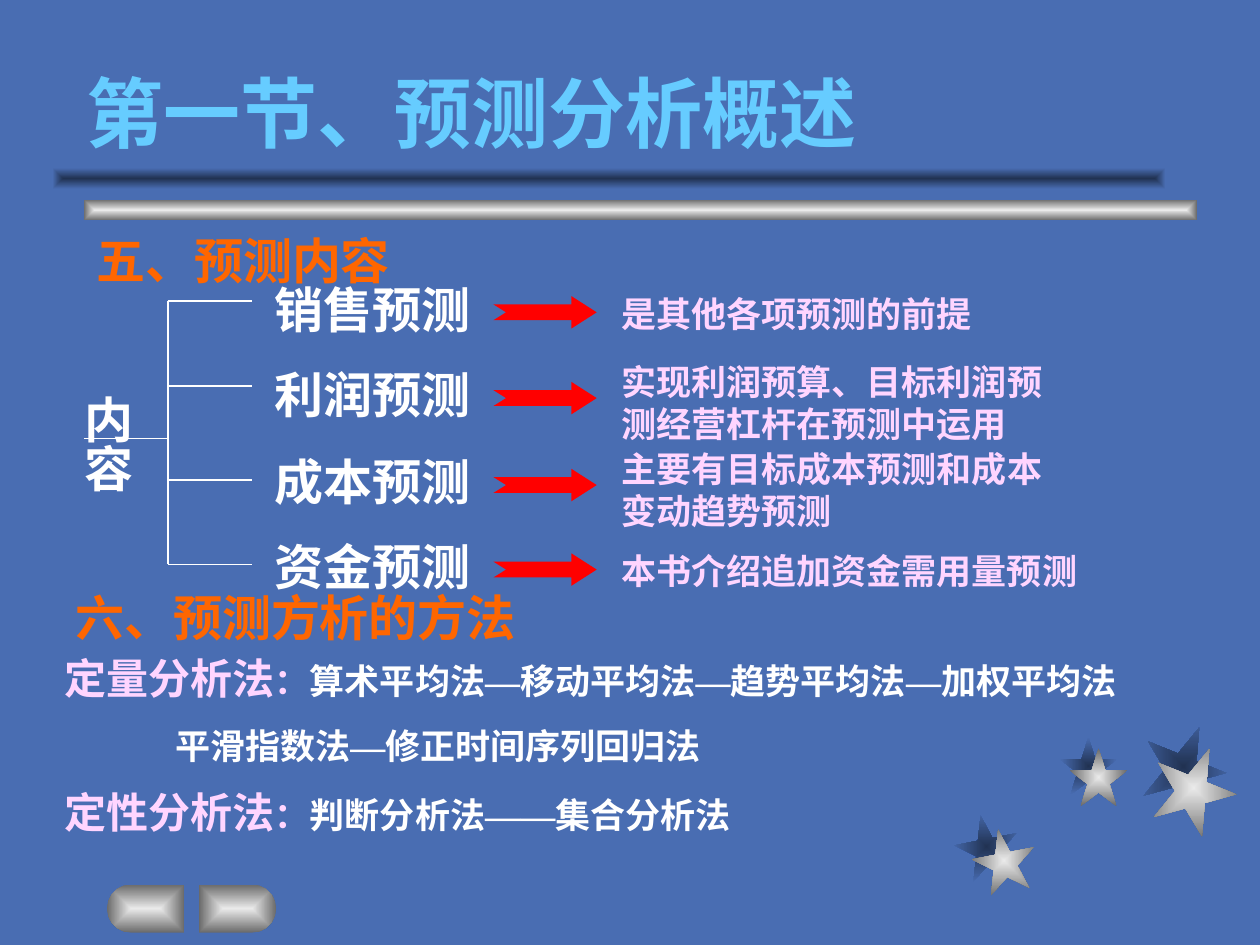
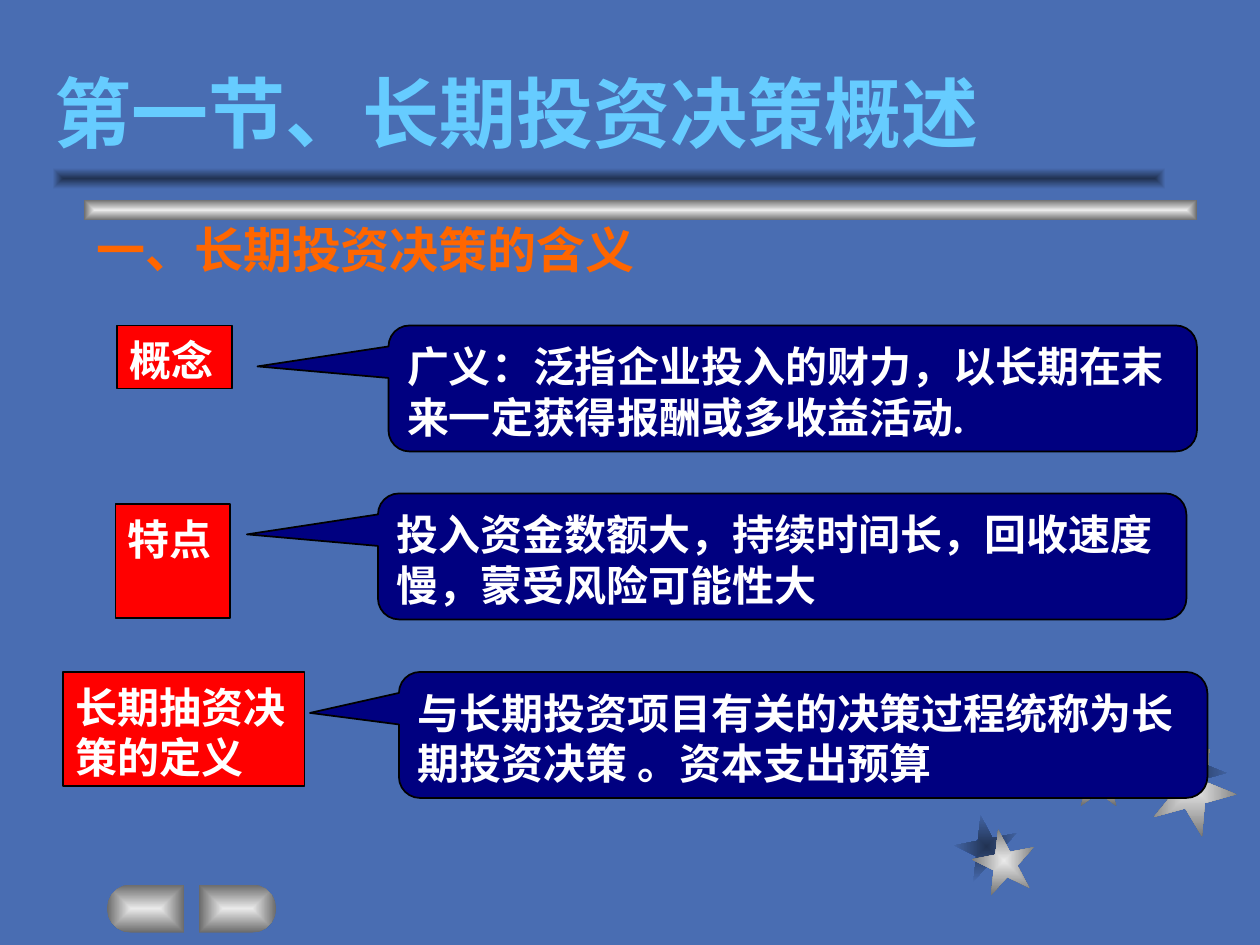
from dataclasses import dataclass
from itertools import groupby
from math import cos, pi, sin

from lxml.etree import SubElement
from pptx import Presentation
from pptx.dml.color import RGBColor
from pptx.enum.shapes import MSO_CONNECTOR, MSO_SHAPE
from pptx.enum.text import MSO_ANCHOR, MSO_AUTO_SIZE, PP_ALIGN
from pptx.oxml.ns import qn
from pptx.util import Pt

BACKGROUND = RGBColor(0x49, 0x6D, 0xB2)
SHADE = RGBColor(0x21, 0x32, 0x52)
SILVER = RGBColor(0xEA, 0xEA, 0xEA)
STEEL = RGBColor(0x6B, 0x6B, 0x6B)
SKY = RGBColor(0x66, 0xCC, 0xFF)
ORANGE = RGBColor(0xFF, 0x66, 0x00)
PINK = RGBColor(0xFF, 0xD5, 0xFF)
WHITE = RGBColor(0xFF, 0xFF, 0xFF)
BLACK = RGBColor(0x00, 0x00, 0x00)
RED = RGBColor(0xFF, 0x00, 0x00)
NAVY = RGBColor(0x00, 0x00, 0x80)

LATIN_FONT = "Times New Roman"
CHINESE_FONT = "Noto Sans CJK SC"
DASH = "—"
LINE_HEIGHT = 1.2
BASELINE_SHIFT = 0.07
METAL = (SILVER, STEEL)
SHADOW = (SHADE, BACKGROUND)


@dataclass(frozen=True)
class Box:
    left: float
    top: float
    width: float
    height: float

    def lengths(self):
        return Pt(self.left), Pt(self.top), Pt(self.width), Pt(self.height)


@dataclass(frozen=True)
class Piece:
    text: str
    size: float
    color: RGBColor


@dataclass(frozen=True)
class Star:
    box: Box
    rotation: float
    colors: tuple


@dataclass(frozen=True)
class Forecast:
    name: str
    top: float
    note: str
    note_box: Box
    branch: float


@dataclass(frozen=True)
class Definition:
    term: str
    term_box: Box
    meaning: str
    callout_left: float
    callout_top: float
    pointer: float


STARS = [
    Star(Box(545.8, 465.8, 36, 36), 349, SHADOW),
    Star(Box(605.5, 421.2, 33, 33), 0, SHADOW),
    Star(Box(652.3, 414, 48, 48), 22, SHADOW),
    Star(Box(555.8, 473.8, 36, 36), 349, METAL),
    Star(Box(611.3, 427.7, 33, 33), 0, METAL),
    Star(Box(658.1, 426.2, 48, 48), 22, METAL),
]

FORECASTS = [
    Forecast("销售预测", 154, "是其他各项预测的前提", Box(348, 162, 228, 32), 172),
    Forecast("利润预测", 203, "实现利润预算、目标利润预测经营杠杆在预测中运用",
             Box(348, 201, 270, 55.5), 220.5),
    Forecast("成本预测", 252.7, "主要有目标成本预测和成本变动趋势预测",
             Box(348, 250.6, 270, 55.5), 274.5),
    Forecast("资金预测", 301, "本书介绍追加资金需用量预测", Box(348, 309, 282, 32), 322.5),
]

DEFINITIONS = [
    Definition("概念", Box(67, 186, 65.5, 36),
               "广义：泛指企业投入的财力，以长期在末来一定获得报酬或多收益活动.", 222, 186, -0.662),
    Definition("特点", Box(66, 288, 65.5, 65),
               "投入资金数额大，持续时间长，回收速度慢，蒙受风险可能性大", 216, 282, -0.662),
    Definition("长期抽资决策的定义", Box(36, 384, 138, 65),
               "与长期投资项目有关的决策过程统称为长期投资决策 。资本支出预算", 228, 384, -0.61),
]


def fill_toward_edges(shape, colors):
    """Fill with a rectangular gradient from the centre colour to the edge colour."""
    shape.shadow.inherit = False
    shape.line.fill.background()
    shape.fill.gradient()
    for stop, position, color in zip(shape.fill.gradient_stops, (0, 1), colors):
        stop.position = position
        stop.color.rgb = color
    gradient = shape.element.spPr.find(qn("a:gradFill"))
    gradient.remove(gradient.find(qn("a:lin")))
    path = SubElement(gradient, qn("a:path"), {"path": "rect"})
    SubElement(path, qn("a:fillToRect"), dict.fromkeys("ltrb", "50000"))


def fill_flat(shape, color, outline=None):
    shape.shadow.inherit = False
    shape.fill.solid()
    shape.fill.fore_color.rgb = color
    if outline is None:
        shape.line.fill.background()
    else:
        shape.line.color.rgb = outline
        shape.line.width = Pt(1)


def format_run(run, piece: Piece):
    run.font.size = Pt(piece.size)
    run.font.bold = True
    run.font.color.rgb = piece.color
    run.font.name = LATIN_FONT
    east_asian = LATIN_FONT if DASH in run.text else CHINESE_FONT
    SubElement(run.font._element, qn("a:ea"), {"typeface": east_asian})


def write(text_frame, *lines: list, space_before: float = 0):
    """Write one paragraph for each list of pieces."""
    size = max(piece.size for piece in lines[0])
    text_frame.word_wrap = True
    text_frame.auto_size = MSO_AUTO_SIZE.NONE
    text_frame.vertical_anchor = MSO_ANCHOR.TOP
    text_frame.margin_left = text_frame.margin_right = Pt(7.2)
    text_frame.margin_top = Pt(3.6 + BASELINE_SHIFT * size)
    text_frame.margin_bottom = Pt(0)
    for index, pieces in enumerate(lines):
        paragraph = text_frame.add_paragraph() if index else text_frame.paragraphs[0]
        paragraph.alignment = PP_ALIGN.LEFT
        paragraph.space_before = Pt(space_before if index else 0)
        paragraph.line_spacing = Pt(LINE_HEIGHT * max(piece.size for piece in pieces))
        for piece in pieces:
            for _, characters in groupby(piece.text, lambda character: character == DASH):
                run = paragraph.add_run()
                run.text = "".join(characters)
                format_run(run, piece)


def add_text(slide, box: Box, *lines: list, space_before: float = 0):
    text_frame = slide.shapes.add_textbox(*box.lengths()).text_frame
    write(text_frame, *lines, space_before=space_before)
    return text_frame


def add_heading(slide, text: str, box: Box):
    add_text(slide, box, [Piece(text, 28, ORANGE)])


def add_line(slide, start: tuple, end: tuple):
    line = slide.shapes.add_connector(
        MSO_CONNECTOR.STRAIGHT, *(Pt(value) for value in start + end))
    line.line.color.rgb = WHITE
    line.line.width = Pt(1)
    SubElement(line.element.spPr, qn("a:effectLst"))


def add_outline(slide, points: list):
    scaled = [(Pt(x), Pt(y)) for x, y in points]
    builder = slide.shapes.build_freeform(*scaled[0])
    builder.add_line_segments(scaled[1:], close=True)
    return builder.convert_to_shape()


def add_button(slide, flat_edge: float, direction: int):
    """Draw a button that is flat on one side and rounded towards direction."""
    top, width, radius, steps = 505.5, 44, 13.7, 10
    center = flat_edge + direction * (width - radius)
    angles = [pi * step / steps for step in range(steps + 1)]
    points = [(flat_edge, top)]
    points += [(center + direction * radius * sin(angle), top + radius * (1 - cos(angle)))
               for angle in angles]
    points.append((flat_edge, top + 2 * radius))
    fill_toward_edges(add_outline(slide, points), METAL)


def add_notched_arrow(slide, left: float, middle: float):
    neck, tip, notch = left + 44.5, left + 59, left + 7.2
    points = [(left, middle - 4.5), (neck, middle - 4.5), (neck, middle - 9.3),
              (tip, middle), (neck, middle + 9.3), (neck, middle + 4.5),
              (left, middle + 4.5), (notch, middle)]
    fill_flat(add_outline(slide, points), RED)


def add_backdrop(slide):
    for star in STARS:
        shape = slide.shapes.add_shape(MSO_SHAPE.STAR_5_POINT, *star.box.lengths())
        shape.rotation = star.rotation
        fill_toward_edges(shape, star.colors)
    for left, top, colors in ((48, 114, METAL), (30, 96, SHADOW)):
        bar = slide.shapes.add_shape(MSO_SHAPE.RECTANGLE, *Box(left, top, 636, 12).lengths())
        fill_toward_edges(bar, colors)
    add_button(slide, 105.2, -1)
    add_button(slide, 113.8, 1)


def add_titled_slide(presentation, title_text: str, title_box: Box):
    slide = presentation.slides.add_slide(presentation.slide_layouts.get_by_name("Title Only"))
    title = slide.shapes.title
    title.left, title.top, title.width, title.height = title_box.lengths()
    write(title.text_frame, [Piece(title_text, 44, SKY)])
    title.text_frame.vertical_anchor = MSO_ANCHOR.BOTTOM
    title.text_frame.margin_top = Pt(0)
    add_backdrop(slide)
    return slide


def add_content_tree(slide):
    root = add_text(slide, Box(36, 219, 47.5, 72), [Piece("内容", 28, WHITE)])
    root._element.find(qn("a:bodyPr")).set("vert", "eaVert")
    root.margin_left, root.margin_right = Pt(3.6), Pt(5.6)
    root.margin_top = root.margin_bottom = Pt(7.2)
    trunk = 96
    add_line(slide, (48, 250.5), (trunk, 250.5))
    add_line(slide, (trunk, FORECASTS[0].branch), (trunk, FORECASTS[-1].branch))
    for forecast in FORECASTS:
        add_line(slide, (trunk, forecast.branch), (144, forecast.branch))
        add_text(slide, Box(150, forecast.top, 132, 41), [Piece(forecast.name, 28, WHITE)])
        add_notched_arrow(slide, 282, forecast.top + 24.5)
        add_text(slide, forecast.note_box, [Piece(forecast.note, 20, PINK)])


def add_methods(slide):
    def method(name: str, steps: str):
        return [Piece(name, 24, PINK), Piece("：", 20, PINK), Piece(steps, 20, WHITE)]

    quantitative = add_text(
        slide, Box(30, 367.3, 642, 73),
        method("定量分析法", "算术平均法—移动平均法—趋势平均法—加权平均法"),
        [Piece("平滑指数法—修正时间序列回归法", 20, WHITE)], space_before=12.5)
    quantitative.paragraphs[1]._p.get_or_add_pPr().set("marL", str(Pt(63)))
    add_text(slide, Box(30, 444, 642, 36), method("定性分析法", "判断分析法——集合分析法"))


def add_definition(slide, definition: Definition):
    term = slide.shapes.add_shape(MSO_SHAPE.RECTANGLE, *definition.term_box.lengths())
    callout_box = Box(definition.callout_left, definition.callout_top, 462, 72)
    callout = slide.shapes.add_shape(
        MSO_SHAPE.ROUNDED_RECTANGULAR_CALLOUT, *callout_box.lengths())
    for index, value in enumerate((definition.pointer, -0.175, 0.167)):
        callout.adjustments[index] = value
    for shape, color, text in ((term, RED, definition.term), (callout, NAVY, definition.meaning)):
        fill_flat(shape, color, BLACK)
        write(shape.text_frame, [Piece(text, 24, WHITE)])


def main():
    presentation = Presentation()
    presentation.slide_width, presentation.slide_height = Pt(720), Pt(540)
    background = presentation.slide_master.background.fill
    background.solid()
    background.fore_color.rgb = BACKGROUND

    forecast_slide = add_titled_slide(
        presentation, "第一节、预测分析概述", Box(42, 36, 654, 54))
    add_heading(forecast_slide, "五、预测内容", Box(48, 126, 462, 41))
    add_content_tree(forecast_slide)
    add_heading(forecast_slide, "六、预测方析的方法", Box(36, 330, 462, 41))
    add_methods(forecast_slide)

    investment_slide = add_titled_slide(
        presentation, "第一节、长期投资决策概述", Box(24, 36, 678, 54))
    add_heading(investment_slide, "一、长期投资决策的含义", Box(48, 120, 552, 41))
    for definition in DEFINITIONS:
        add_definition(investment_slide, definition)

    presentation.save("out.pptx")


if __name__ == "__main__":
    main()
